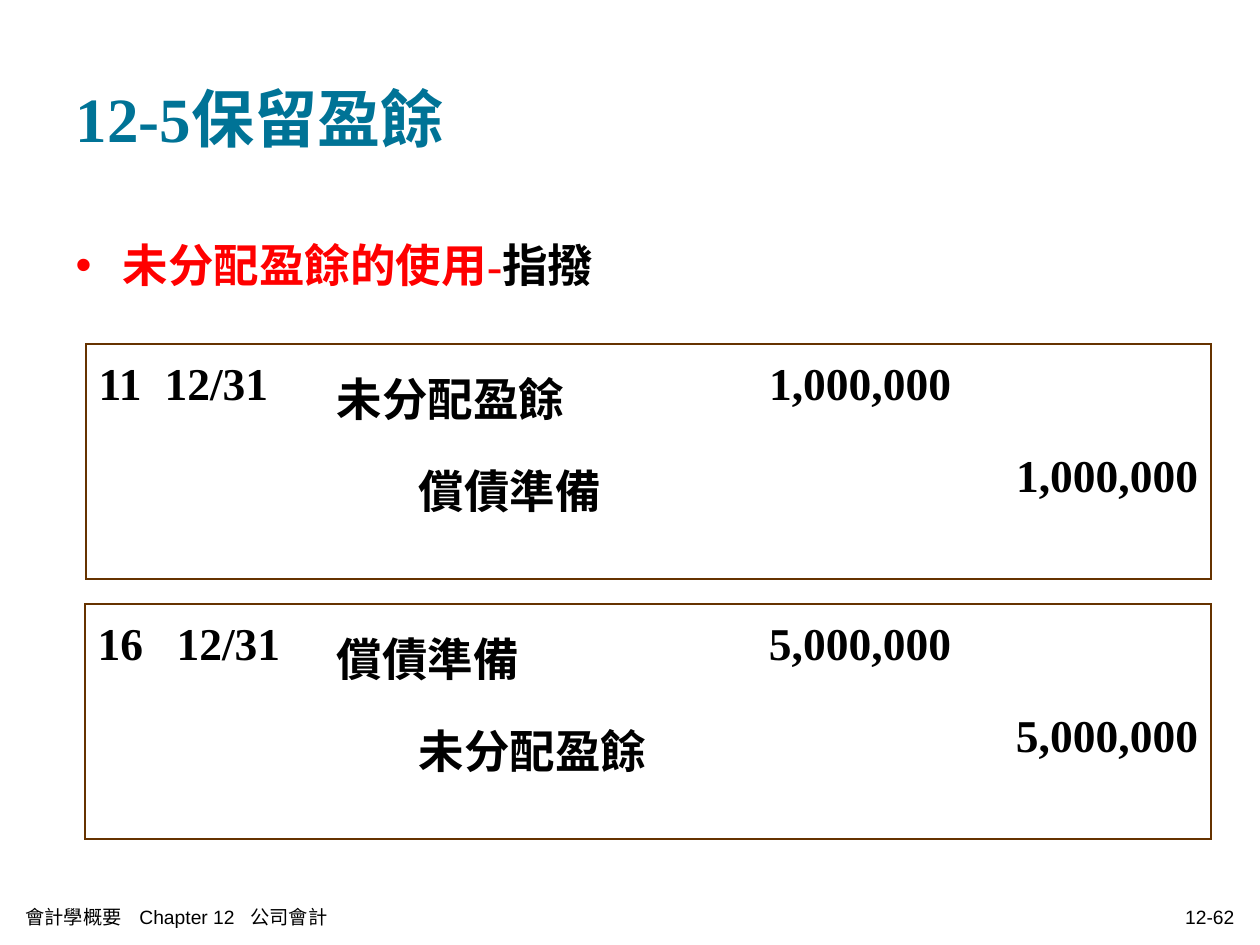
from pptx import Presentation
from pptx.dml.color import RGBColor
from pptx.enum.text import MSO_ANCHOR, MSO_AUTO_SIZE, PP_ALIGN
from pptx.oxml.xmlchemy import OxmlElement
from pptx.util import Pt

PX = 914400 // 126
COLORS = {"title": "007396", "accent": "FF0000", "text": "000000", "border": "663300"}
SERIF, SANS = "Times New Roman", "Arial"
ROW_HEIGHTS = (92, 143)
ENTRY_INDENT = 82


def px(*values):
    return [v * PX for v in values]


def add_node(parent, tag, **attrs):
    node = OxmlElement(tag)
    for name, value in attrs.items():
        node.set(name, str(value))
    parent.append(node)
    return node


def style_run(r, size, color, font=SERIF, bold=True):
    r.font.size = Pt(size)
    r.font.name = font
    r.font.bold = bold
    r.font.color.rgb = RGBColor.from_string(COLORS[color])


def set_tabs(p, stops):
    tabs = add_node(p._p.get_or_add_pPr(), "a:tabLst")
    for stop in stops:
        add_node(tabs, "a:tab", pos=stop * PX, algn="l")


def place(sp, box, anchor):
    sp.left, sp.top, sp.width, sp.height = px(*box)
    tf = sp.text_frame
    tf.word_wrap = True
    tf.auto_size = MSO_AUTO_SIZE.NONE
    tf.vertical_anchor = anchor
    return tf


def fill_title(s):
    tf = place(s.shapes.title, (63, 38, 1134, 158), MSO_ANCHOR.MIDDLE)
    tf.text = "12-5保留盈餘"
    p = tf.paragraphs[0]
    p.alignment = PP_ALIGN.LEFT
    style_run(p.runs[0], 36, "title")


def fill_body(s):
    tf = place(s.placeholders[1], (63, 220, 1134, 137), MSO_ANCHOR.TOP)
    p = tf.paragraphs[0]
    p.line_spacing = 1.2
    p.space_before = Pt(0)
    pPr = p._p.get_or_add_pPr()
    pPr.set("marL", str(47 * PX))
    pPr.set("indent", str(-47 * PX))
    add_node(add_node(pPr, "a:buClr"), "a:srgbClr", val=COLORS["accent"])
    add_node(pPr, "a:buChar", char="•")
    for text, color in (("未分配盈餘的使用-", "accent"), ("指撥", "text")):
        r = p.add_run()
        r.text = text
        style_run(r, 26, color)


def set_borders(cell, outer):
    tcPr = cell._tc.get_or_add_tcPr()
    for side in "LRTB":
        ln = add_node(tcPr, f"a:ln{side}", w=Pt(1.08))
        if side in outer:
            add_node(add_node(ln, "a:solidFill"), "a:srgbClr", val=COLORS["border"])
        else:
            add_node(ln, "a:noFill")
    cell.fill.background()


def write_cell(cell, text, align=PP_ALIGN.LEFT, indent=0, tab=0):
    cell.text = text
    p = cell.text_frame.paragraphs[0]
    p.alignment = align
    p.line_spacing = 1.2
    if indent:
        p._p.get_or_add_pPr().set("marL", str(indent * PX))
    if tab:
        set_tabs(p, [tab])
    style_run(p.runs[0], 26, "text")


def add_entry(s, left, top, widths, date, tab, debit, credit, amount):
    box = px(left, top, sum(widths), sum(ROW_HEIGHTS))
    table = s.shapes.add_table(2, 4, *box).table
    table.first_row = table.horz_banding = False
    for col, width in zip(table.columns, widths):
        col.width = width * PX
    for row, height in zip(table.rows, ROW_HEIGHTS):
        row.height = height * PX
    for i in range(2):
        for j in range(4):
            set_borders(table.cell(i, j), "TB"[i] + {0: "L", 3: "R"}.get(j, ""))
    write_cell(table.cell(0, 0), date, tab=tab)
    write_cell(table.cell(0, 1), debit)
    write_cell(table.cell(0, 2), amount, PP_ALIGN.RIGHT)
    write_cell(table.cell(1, 1), credit, indent=ENTRY_INDENT)
    write_cell(table.cell(1, 3), amount, PP_ALIGN.RIGHT)


def add_footer(s, box, text, align=PP_ALIGN.LEFT, tabs=()):
    tf = place(s.shapes.add_textbox(*px(*box)), box, MSO_ANCHOR.MIDDLE)
    tf.text = text
    p = tf.paragraphs[0]
    p.alignment = align
    if tabs:
        set_tabs(p, tabs)
    style_run(p.runs[0], 11, "text", SANS, False)


def main():
    prs = Presentation()
    prs.slide_width, prs.slide_height = px(1260, 945)
    s = prs.slides.add_slide(prs.slide_layouts[1])
    fill_title(s)
    fill_body(s)
    add_entry(s, 85, 604, (239, 359, 281, 247), "16\t12/31", 79,
              "償債準備", "未分配盈餘", "5,000,000")
    add_entry(s, 86, 344, (238, 369, 271, 247), "11\t12/31", 66,
              "未分配盈餘", "償債準備", "1,000,000")
    add_footer(s, (13, 896, 643, 41), "會計學概要\tChapter 12\t公司會計", tabs=(114, 225))
    add_footer(s, (853, 896, 394, 41), "12-62", PP_ALIGN.RIGHT)
    prs.save("out.pptx")


if __name__ == "__main__":
    main()
